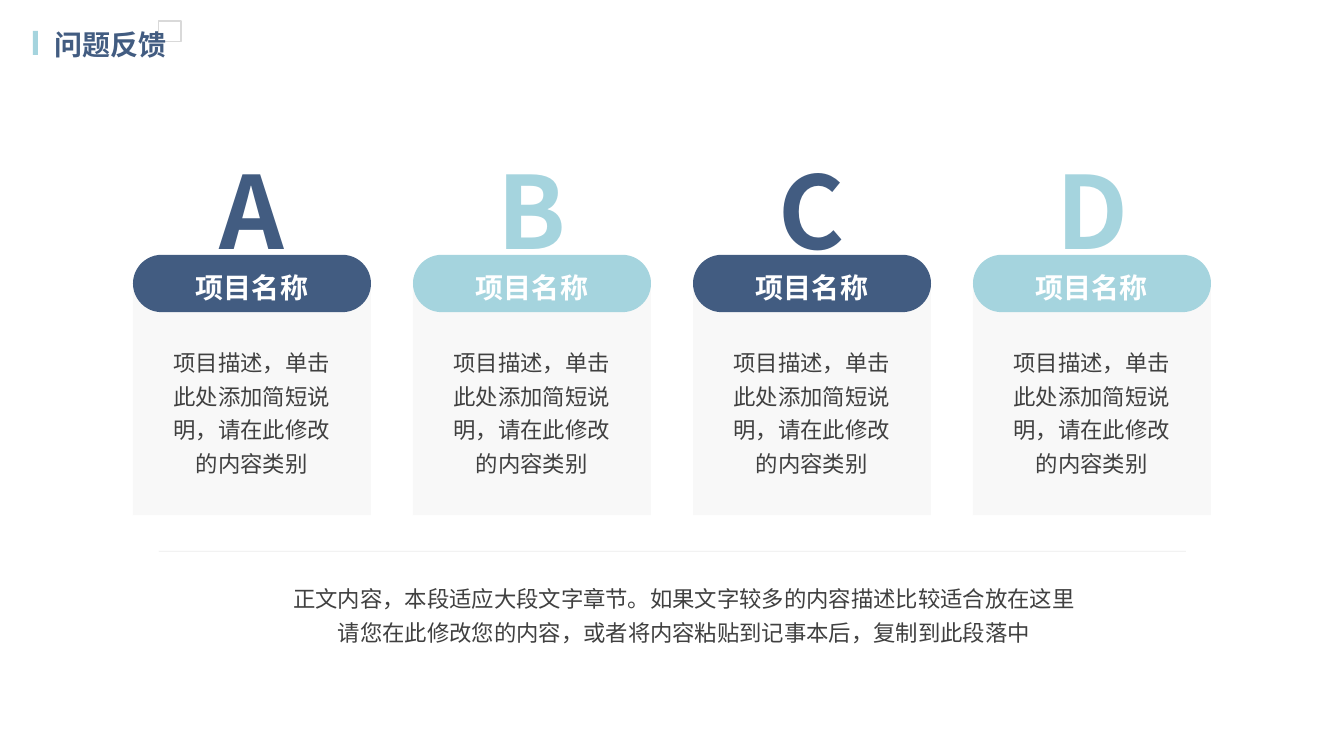
from lxml.etree import SubElement
from pptx import Presentation
from pptx.dml.color import RGBColor
from pptx.enum.shapes import MSO_CONNECTOR as Connector, MSO_SHAPE as Shape
from pptx.enum.text import MSO_AUTO_SIZE as AutoSize, PP_ALIGN as Align
from pptx.oxml.ns import qn
from pptx.util import Pt

NAVY = RGBColor(0x42, 0x5C, 0x81)
AQUA = RGBColor(0xA5, 0xD4, 0xDE)
PALE = RGBColor(0xF2, 0xF2, 0xF2)
SILVER = RGBColor(0xD9, 0xD9, 0xD9)
TEXT = RGBColor(0x40, 0x40, 0x40)
WHITE = RGBColor(0xFF, 0xFF, 0xFF)
FONT = "Noto Sans CJK SC"

CARD_LEFT, CARD_PITCH, CARD_WIDTH = 95, 200, 170
CARDS = [("A", NAVY), ("B", AQUA), ("C", NAVY), ("D", AQUA)]
CARD_TITLE = "项目名称"
CARD_BODY = "项目描述，单击此处添加简短说明，请在此修改的内容类别"
SUMMARY = (
    "正文内容，本段适应大段文字章节。如果文字较多的内容描述比较适合放在这里\v"
    "请您在此修改您的内容，或者将内容粘贴到记事本后，复制到此段落中"
)


def points(*lengths):
    return [Pt(length) for length in lengths]


def make_half_transparent(element):
    for color in element.iter(qn("a:srgbClr")):
        SubElement(color, qn("a:alpha"), val="50000")


def add_block(shapes, kind, area, fill=None, line=None):
    block = shapes.add_shape(kind, *points(*area))
    block.shadow.inherit = False
    if fill is None:
        block.fill.background()
    else:
        block.fill.solid()
        block.fill.fore_color.rgb = fill
    if line is None:
        block.line.fill.background()
    else:
        block.line.color.rgb = line
        block.line.width = Pt(1)
    return block


def add_text(shapes, text, area, size, color, bold=False, wrap=False,
             align=Align.CENTER, spacing=None):
    box = shapes.add_textbox(*points(*area))
    frame = box.text_frame
    frame.word_wrap = wrap
    frame.auto_size = AutoSize.SHAPE_TO_FIT_TEXT
    para = frame.paragraphs[0]
    para.text = text
    para.alignment = align
    para.line_spacing = spacing
    para.font.size = Pt(size)
    para.font.bold = bold
    para.font.color.rgb = color
    para.font.name = FONT
    # East Asian typeface
    defaults = para._p.pPr.find(qn("a:defRPr"))
    SubElement(defaults, qn("a:ea"), typeface=FONT)


def add_heading(slide):
    shapes = slide.shapes.add_group_shape().shapes
    add_block(shapes, Shape.RECTANGLE, (113.3, 15, 16, 14.5), line=SILVER)
    add_block(shapes, Shape.RECTANGLE, (23.5, 22, 3.6, 17.3), fill=AQUA)
    add_text(shapes, "问题反馈", (31.7, 16, 97, 31.5), 20, NAVY,
             bold=True, align=Align.LEFT)


def add_card(slide, left, letter, color):
    shapes = slide.shapes.add_group_shape().shapes
    add_text(shapes, letter, (left + 50, 59.8, 70, 126.7), 72, color,
             bold=True, spacing=1.5)
    panel = add_block(shapes, Shape.RECTANGLE,
                      (left, 198, CARD_WIDTH, 170), fill=PALE)
    make_half_transparent(panel.fill._xPr)
    pill = add_block(shapes, Shape.ROUNDED_RECTANGLE,
                     (left, 182, CARD_WIDTH, 41), fill=color)
    pill.adjustments[0] = 0.5
    add_text(shapes, CARD_TITLE, (left + 36.4, 178, 97.2, 40.3), 20, WHITE,
             bold=True, spacing=1.5)
    add_text(shapes, CARD_BODY, (left + 20.3, 241.2, 129, 102.5), 16, TEXT,
             wrap=True, spacing=Pt(24))


def add_divider(slide):
    divider = slide.shapes.add_connector(
        Connector.STRAIGHT, *points(113.5, 393.8, 847, 393.8))
    divider.line.color.rgb = SILVER
    divider.line.width = Pt(0.5)
    properties = divider._element.spPr
    make_half_transparent(properties)
    SubElement(properties, qn("a:effectLst"))


def main():
    deck = Presentation()
    deck.slide_width, deck.slide_height = Pt(960), Pt(540)
    slide = deck.slides.add_slide(deck.slide_layouts[6])

    # Closing paragraph
    add_text(slide.shapes, SUMMARY, (197.2, 409.7, 583.2, 54.5), 16, TEXT,
             wrap=True, spacing=Pt(24))

    # Row of lettered cards
    for index, (letter, color) in enumerate(CARDS):
        add_card(slide, CARD_LEFT + index * CARD_PITCH, letter, color)

    # Divider and page heading
    add_divider(slide)
    add_heading(slide)

    deck.save("out.pptx")


if __name__ == "__main__":
    main()
